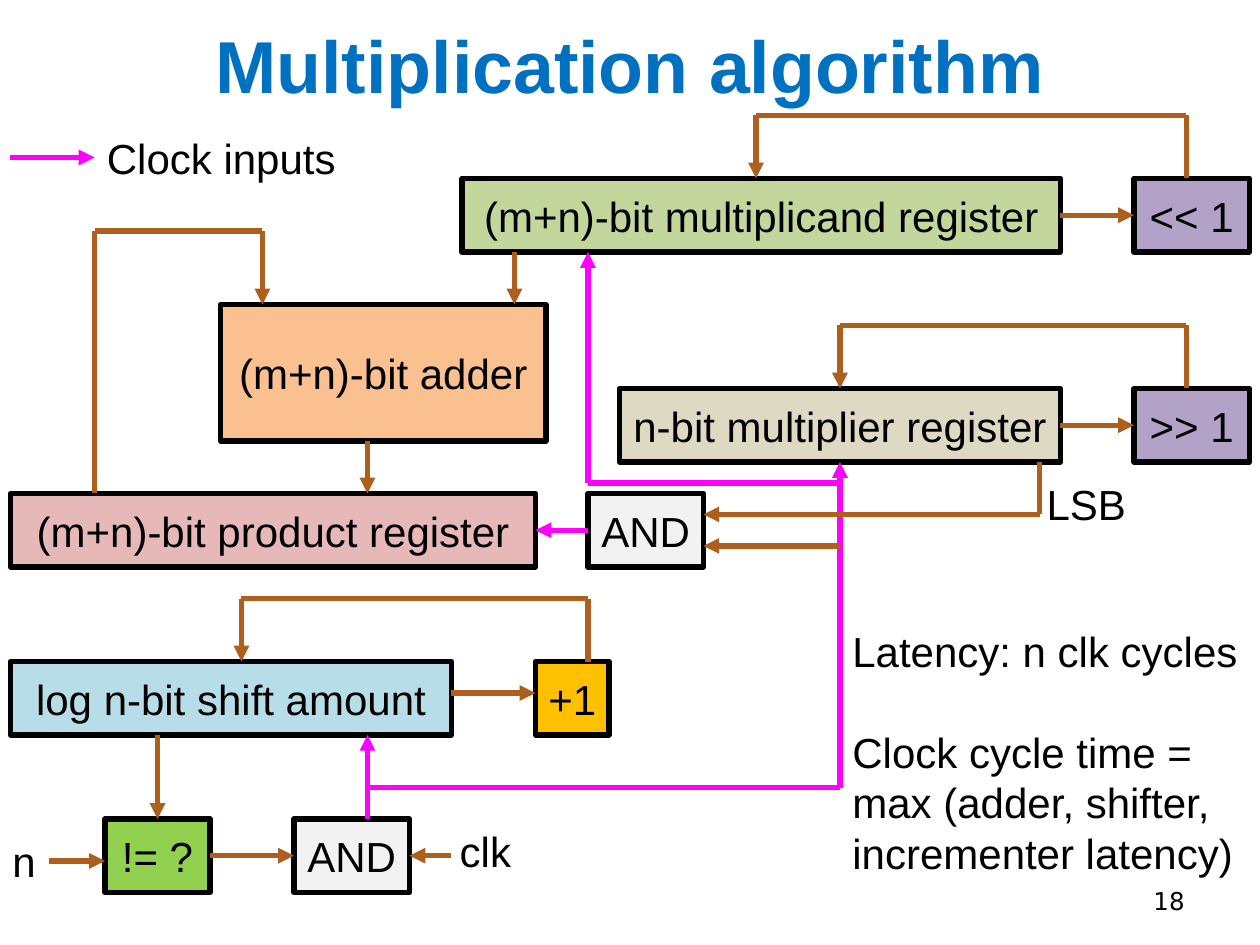
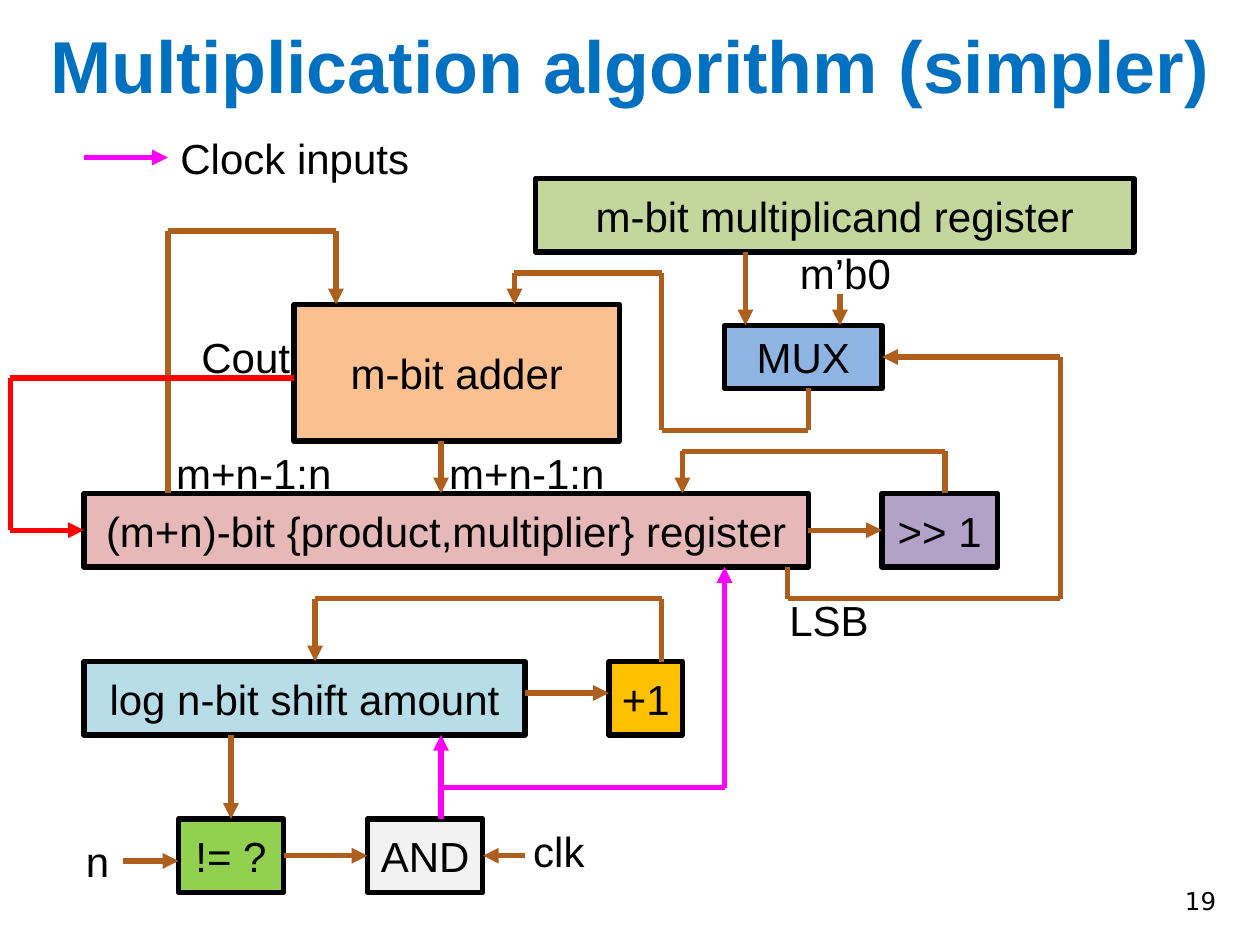
from dataclasses import dataclass

from lxml.etree import SubElement
from pptx import Presentation
from pptx.dml.color import RGBColor
from pptx.enum.shapes import MSO_CONNECTOR as CONN, MSO_SHAPE as SHAPE
from pptx.enum.text import MSO_ANCHOR as ANCHOR, PP_ALIGN as ALIGN
from pptx.oxml.ns import qn
from pptx.util import Inches, Pt


@dataclass(frozen=True)
class Theme:
    """Colours, fonts and type sizes used on both slides."""
    title: str = "0070C0"
    ink: str = "000000"
    data: str = "AE5F1E"
    clock: str = "FF00FF"
    carry: str = "FF0000"
    multiplicand: str = "C3D69B"
    multiplier: str = "DDD9C3"
    product: str = "E6B9B8"
    adder: str = "FAC090"
    counter: str = "B7DEE8"
    compare: str = "92D050"
    shifter: str = "B3A2C7"
    increment: str = "FFC000"
    gate: str = "F2F2F2"
    mux: str = "8EB4E3"
    font: str = "Arial"
    number_font: str = "DejaVu Sans"
    title_size: int = 42
    body_size: int = 24
    number_size: int = 14
    line_width: int = 3
    leading: float = 1.2


T = Theme()
GRID = 12  # grid steps per inch; all positions below are in grid steps

# Boxes: text, fill, (left, top, width, height)
# Wires: colour, points; the arrowhead is at the last point
# Labels: text, (left, top, width)
SHARED = {
    "boxes": [
        ("{width}-bit multiplicand register", T.multiplicand, (44, 17, 57, 7)),
        ("{width}-bit adder", T.adder, (21, 29, 31, 13)),
        ("log n-bit shift amount", T.counter, (1, 63, 42, 7)),
        ("!= ?", T.compare, (10, 78, 10, 7)),
        ("+1", T.increment, (51, 63, 7, 7)),
        ("AND", T.gate, (28, 78, 11, 7)),
    ],
    "wires": [
        (T.clock, [(1, 15), (9, 15)]),
        (T.data, [(9, 47), (9, 22), (25, 22), (25, 29)]),
        (T.data, [(35, 42), (35, 47)]),
        (T.data, [(56, 63), (56, 57), (23, 57), (23, 63)]),
        (T.data, [(43, 66), (51, 66)]),
        (T.data, [(15, 70), (15, 78)]),
        (T.data, [(4.7, 82), (10, 82)]),
        (T.data, [(20, 81.5), (28, 81.5)]),
        (T.data, [(43, 81.5), (39, 81.5)]),
        (T.clock, [(35, 78), (35, 70)]),
    ],
    "labels": [
        ("Clock inputs", (9, 12, 24.5)),
        ("n", (0, 79, 4.7)),
        ("clk", (42.6, 78, 7.3)),
    ],
}

SLIDES = [
    {
        "title": "Multiplication algorithm",
        "number": ("18", 86),
        "shift": 0,
        "width": "(m+n)",
        "boxes": [
            ("n-bit multiplier register", T.multiplier, (59, 37, 42, 7)),
            ("(m+n)-bit product register", T.product, (1, 47, 50, 7)),
            ("<< 1", T.shifter, (108, 17, 11, 7)),
            (">> 1", T.shifter, (108, 37, 11, 7)),
            ("AND", T.gate, (56, 47, 11, 7)),
        ],
        "wires": [
            (T.data, [(101, 20.5), (108, 20.5)]),
            (T.data, [(113, 17), (113, 11), (72, 11), (72, 17)]),
            (T.data, [(49, 24), (49, 29)]),
            (T.data, [(101, 40.5), (108, 40.5)]),
            (T.data, [(113, 37), (113, 31), (80, 31), (80, 37)]),
            (T.clock, [(35, 75), (80, 75), (80, 44)]),
            (T.clock, [(80, 46), (56, 46), (56, 24)]),
            (T.clock, [(56, 50.5), (51, 50.5)]),
            (T.data, [(80, 52), (67, 52)]),
            (T.data, [(99, 44), (99, 49), (67, 49)]),
        ],
        "labels": [("LSB", (98.5, 45, 10))],
        "notes": [
            ["Latency: n clk cycles"],
            ["Clock cycle time = ", "max (adder, shifter,",
             "incrementer latency)"],
        ],
    },
    {
        "title": "Multiplication algorithm (simpler)",
        "number": ("19", 89),
        "shift": 7,
        "width": "m",
        "boxes": [
            ("(m+n)-bit {{product,multiplier}} register", T.product,
             (8, 47, 69, 7)),
            (">> 1", T.shifter, (84, 47, 11, 7)),
            ("MUX", T.mux, (69, 31, 15, 6)),
        ],
        "wires": [
            (T.data, [(71, 24), (71, 31)]),
            (T.data, [(80, 28), (80, 31)]),
            (T.data, [(77, 50.5), (84, 50.5)]),
            (T.data, [(90, 47), (90, 43), (65, 43), (65, 47)]),
            (T.clock, [(42, 75), (69, 75), (69, 54)]),
            (T.data, [(75, 54), (75, 57), (101, 57), (101, 34), (84, 34)]),
            (T.data, [(77, 37), (77, 41), (63, 41), (63, 26), (49, 26),
                      (49, 29)]),
            (T.carry, [(28, 36), (1, 36), (1, 50.5), (8, 50.5)]),
        ],
        "labels": [
            ("m’b0", (75, 23, 11.2)),
            ("LSB", (74, 56, 10)),
            ("m+n-1:n", (15.6, 42, 17.4)),
            ("m+n-1:n", (41.6, 42, 17.4)),
            ("Cout", (18, 31, 10.9)),
        ],
        "notes": [],
    },
]
NOTES_PLACE = (80, 59, 40, 25.4)


def grid(*steps):
    """Turn grid steps into lengths."""
    return [Inches(v / GRID) for v in steps]


def rgb(code):
    """Make a colour from its hex code."""
    return RGBColor.from_string(code)


def write(p, text, size=T.body_size, color=T.ink, font=T.font, bold=False):
    """Add one run to a paragraph and set its line spacing."""
    p.line_spacing = Pt(size * T.leading)
    r = p.add_run()
    r.text = text
    r.font.name, r.font.size, r.font.bold = font, Pt(size), bold
    r.font.color.rgb = rgb(color)


def add_text(s, text, place, align=ALIGN.LEFT, anchor=ANCHOR.TOP,
             wrap=False, **style):
    """Add a text box with one line of text."""
    tf = s.shapes.add_textbox(*grid(*place)).text_frame
    tf.word_wrap, tf.vertical_anchor = wrap, anchor
    p = tf.paragraphs[0]
    p.alignment = align
    write(p, text, **style)


def add_box(s, text, fill, place):
    """Add a filled, outlined hardware block."""
    sp = s.shapes.add_shape(SHAPE.RECTANGLE, *grid(*place))
    sp.shadow.inherit = False
    sp.fill.solid()
    sp.fill.fore_color.rgb = rgb(fill)
    sp.line.color.rgb = rgb(T.ink)
    sp.line.width = Pt(T.line_width)
    tf = sp.text_frame
    tf.word_wrap, tf.vertical_anchor = False, ANCHOR.MIDDLE
    p = tf.paragraphs[0]
    p.alignment = ALIGN.CENTER
    write(p, text)


def add_wire(s, color, points):
    """Join the points with straight lines, ending in an arrowhead."""
    for start, end in zip(points, points[1:]):
        c = s.shapes.add_connector(CONN.STRAIGHT, *grid(*start, *end))
        c.line.color.rgb = rgb(color)
        c.line.width = Pt(T.line_width)
        SubElement(c._element.spPr, qn("a:effectLst"))
    SubElement(c.line._get_or_add_ln(), qn("a:tailEnd"), type="triangle")


def add_notes(s, groups):
    """Add the timing remarks, with a one-line gap between groups."""
    tf = s.shapes.add_textbox(*grid(*NOTES_PLACE)).text_frame
    tf.word_wrap = True
    p = tf.paragraphs[0]
    for g, lines in enumerate(groups):
        for i, line in enumerate(lines):
            if g or i:
                p = tf.add_paragraph()
            if g and not i:
                p.space_before = Pt(T.body_size * T.leading)
            write(p, line)


def add_slide(prs, data):
    """Build one slide from the shared circuit and its own parts."""
    s = prs.slides.add_slide(prs.slide_layouts[6])
    number, left = data["number"]
    add_text(s, number, (left, 83.4, 28, 4.8), ALIGN.RIGHT, ANCHOR.MIDDLE,
             True, size=T.number_size, font=T.number_font)
    add_text(s, data["title"], (0, 1.3, 120, 9.6), ALIGN.CENTER,
             ANCHOR.MIDDLE, True, size=T.title_size, color=T.title, bold=True)
    layers = [(SHARED, data["shift"]), (data, 0)]
    for part, dx in layers:
        for text, fill, (x, *rest) in part["boxes"]:
            add_box(s, text.format(width=data["width"]), fill, (x + dx, *rest))
    for part, dx in layers:
        for color, points in part["wires"]:
            add_wire(s, color, [(x + dx, y) for x, y in points])
    for part, dx in layers:
        for text, (x, y, w) in part["labels"]:
            add_text(s, text, (x + dx, y, w, 6))
    if data["notes"]:
        add_notes(s, data["notes"])


prs = Presentation()
prs.slide_width, prs.slide_height = Inches(10), Inches(7.5)
for data in SLIDES:
    add_slide(prs, data)
prs.save("out.pptx")
